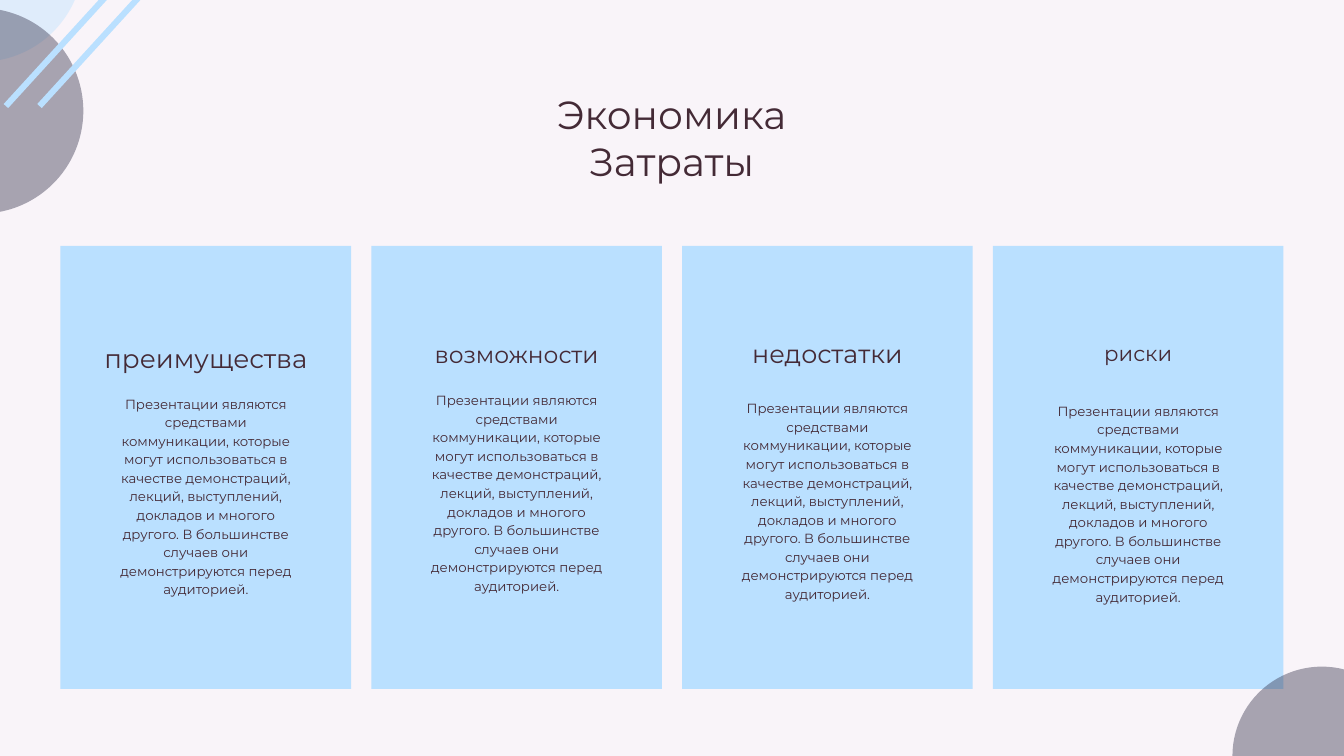
"""Build the slide that compares four sides of economics and costs."""
from dataclasses import dataclass

from lxml import etree
from pptx import Presentation
from pptx.dml.color import RGBColor
from pptx.enum.shapes import MSO_SHAPE
from pptx.enum.text import MSO_ANCHOR, PP_ALIGN
from pptx.oxml.ns import qn
from pptx.util import Inches, Pt

RECTANGLE, OVAL = MSO_SHAPE.RECTANGLE, MSO_SHAPE.OVAL
TOP, CENTER = MSO_ANCHOR.TOP, PP_ALIGN.CENTER


@dataclass(frozen=True)
class Theme:
    font: str = "Montserrat"
    background: str = "F9F4F9"
    card: str = "BAE0FF"
    shade: str = "2D2A44"
    text: str = "442A36"
    title_size: float = 42
    body_size: float = 14.2
    title_spacing: float = 1.2
    text_spacing: float = 1.4
    opacity: int = 40


THEME = Theme()
WIDTH, HEIGHT = 20, 11.25
TITLE = ["Экономика", "Затраты"]
BODY = (
    "Презентации являются средствами коммуникации, которые могут использоваться "
    "в качестве демонстраций, лекций, выступлений, докладов и многого другого. "
    "В большинстве случаев они демонстрируются перед аудиторией."
)
CARDS = [
    {"heading": "преимущества", "size": 28, "heading_top": 5.02, "body_top": 5.85},
    {"heading": "возможности", "size": 25, "heading_top": 4.99, "body_top": 5.8},
    {"heading": "недостатки", "size": 27.2, "heading_top": 4.95, "body_top": 5.92},
    {"heading": "риски", "size": 22.7, "heading_top": 5, "body_top": 5.96},
]
CIRCLES = [
    {"center": (19.67, HEIGHT), "radius": 1.33, "color": THEME.shade},
    {"center": (-0.29, -0.61), "radius": 1.53, "color": THEME.card},
    {"center": (-0.29, 1.65), "radius": 1.53, "color": THEME.shade},
]
STRIPES = {"lefts": [0.95, 1.45], "top": -0.76, "size": (0.09, 2.69), "angle": 42.4}

MARGIN, GUTTER = 0.9, 0.3
CARD_TOP, CARD_HEIGHT = 3.66, 6.59
CARD_WIDTH = (WIDTH - 2 * MARGIN - GUTTER * (len(CARDS) - 1)) / len(CARDS)
HEADING_WIDTH, BODY_WIDTH, BODY_HEIGHT = 3.73, 2.78, 2.96
TITLE_BOX = (3.88, 1.34, 12.23, 1.4)


def inches(box):
    return [Inches(length) for length in box]


def add_figure(slide, preset, box, color, opacity=100, angle=0):
    figure = slide.shapes.add_shape(preset, *inches(box))
    figure.shadow.inherit = False
    figure.rotation = angle
    figure.line.fill.background()
    figure.fill.solid()
    figure.fill.fore_color.rgb = RGBColor.from_string(color)
    if opacity < 100:
        tint = figure._element.spPr.find(qn("a:solidFill"))[0]
        etree.SubElement(tint, qn("a:alpha"), val=str(opacity * 1000))


def write(holder, lines, size, spacing):
    frame = holder.text_frame
    frame_format = {
        "word_wrap": True, "vertical_anchor": TOP, "margin_left": 0,
        "margin_right": 0, "margin_top": 0, "margin_bottom": 0,
    }
    for name, value in frame_format.items():
        setattr(frame, name, value)
    frame.text = "\n".join(lines)
    paragraph_format = {
        "alignment": CENTER, "line_spacing": Pt(round(size * spacing, 1)),
        "space_before": Pt(0),
    }
    font_format = {"name": THEME.font, "size": Pt(size), "bold": False}
    for paragraph in frame.paragraphs:
        for name, value in paragraph_format.items():
            setattr(paragraph, name, value)
        for run in paragraph.runs:
            for name, value in font_format.items():
                setattr(run.font, name, value)
            run.font.color.rgb = RGBColor.from_string(THEME.text)


def add_text(slide, box, text, size):
    write(slide.shapes.add_textbox(*inches(box)), [text], size, THEME.text_spacing)


def add_title(slide):
    title = slide.shapes.title
    title.left, title.top, title.width, title.height = inches(TITLE_BOX)
    write(title, TITLE, THEME.title_size, THEME.title_spacing)


def add_cards(slide):
    for column, card in enumerate(CARDS):
        left = MARGIN + column * (CARD_WIDTH + GUTTER)
        middle = left + CARD_WIDTH / 2
        size = card["size"]
        add_figure(slide, RECTANGLE, (left, CARD_TOP, CARD_WIDTH, CARD_HEIGHT), THEME.card)
        heading_height = size * THEME.text_spacing / 72
        add_text(slide, (middle - HEADING_WIDTH / 2, card["heading_top"],
                         HEADING_WIDTH, heading_height), card["heading"], size)
        add_text(slide, (middle - BODY_WIDTH / 2, card["body_top"],
                         BODY_WIDTH, BODY_HEIGHT), BODY, THEME.body_size)


def add_decoration(slide):
    for circle in CIRCLES:
        (x, y), radius = circle["center"], circle["radius"]
        box = (x - radius, y - radius, 2 * radius, 2 * radius)
        add_figure(slide, OVAL, box, circle["color"], THEME.opacity)
    for left in STRIPES["lefts"]:
        box = (left, STRIPES["top"], *STRIPES["size"])
        add_figure(slide, RECTANGLE, box, THEME.card, angle=STRIPES["angle"])


def main():
    deck = Presentation()
    deck.slide_width, deck.slide_height = inches((WIDTH, HEIGHT))
    slide = deck.slides.add_slide(deck.slide_layouts.get_by_name("Title Only"))
    slide.background.fill.solid()
    slide.background.fill.fore_color.rgb = RGBColor.from_string(THEME.background)
    add_title(slide)
    add_cards(slide)
    add_decoration(slide)
    deck.save("out.pptx")


if __name__ == "__main__":
    main()
